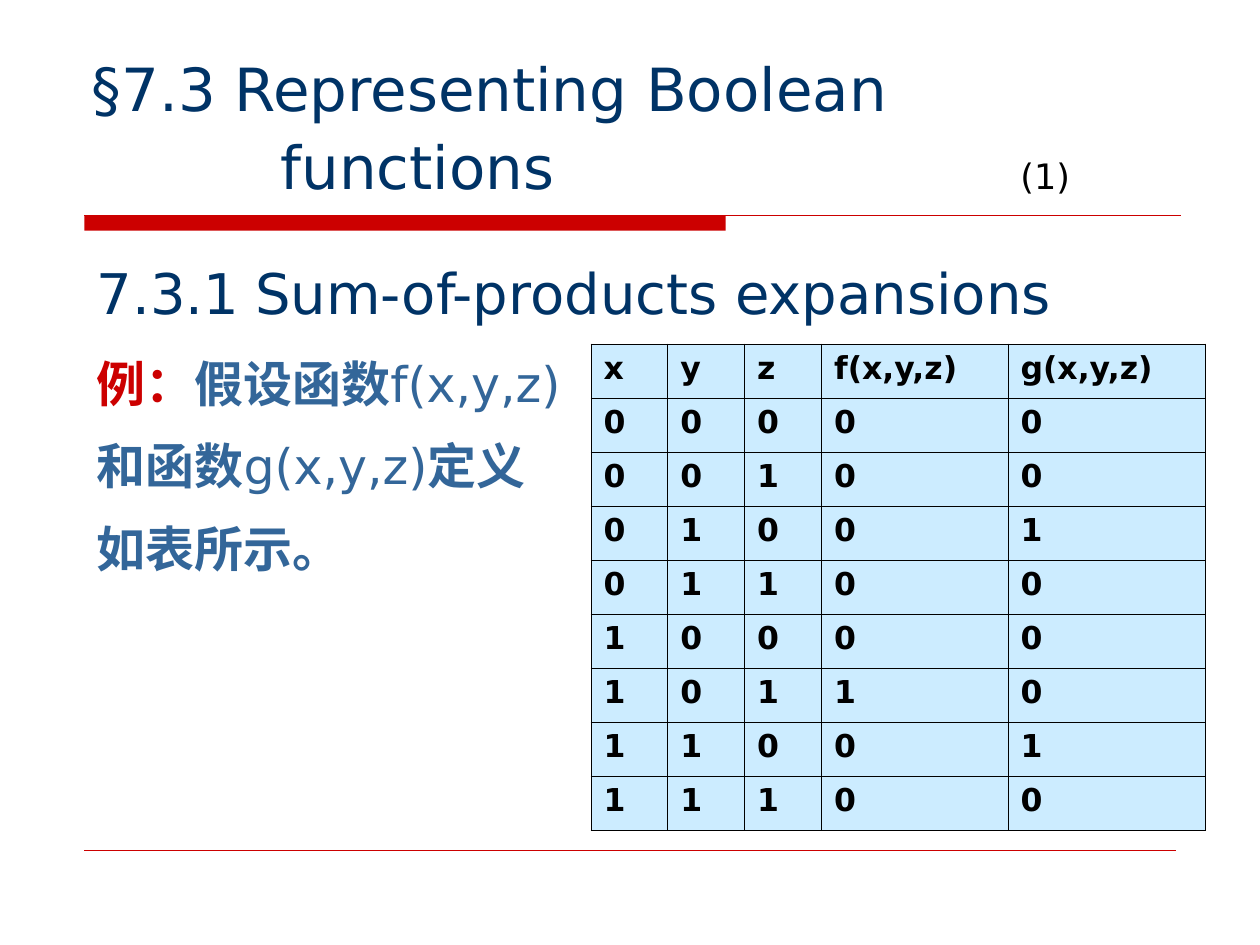
from itertools import product

from lxml.etree import SubElement
from pptx import Presentation
from pptx.dml.color import RGBColor
from pptx.enum.shapes import MSO_CONNECTOR as Connector, MSO_SHAPE as Shape
from pptx.enum.text import MSO_ANCHOR as Anchor, MSO_AUTO_SIZE as AutoSize
from pptx.oxml.ns import qn
from pptx.util import Inches, Pt

FONT = "DejaVu Sans"
RED, NAVY, BLUE, BLACK, PALE = "CC0000", "003366", "336699", "000000", "CCECFF"


def color(value):
    return RGBColor.from_string(value)


def add_run(paragraph, text, size, font_color, bold=False):
    run = paragraph.add_run()
    run.text = text
    for name, value in {"name": FONT, "size": Pt(size), "bold": bold}.items():
        setattr(run.font, name, value)
    run.font.color.rgb = color(font_color)


def add_text(slide, box, paragraphs, line_spacing=None, tabs=(), **frame_format):
    frame = slide.shapes.add_textbox(*map(Inches, box)).text_frame
    for name, value in {"word_wrap": True, **frame_format}.items():
        setattr(frame, name, value)
    for index, runs in enumerate(paragraphs):
        paragraph = frame.add_paragraph() if index else frame.paragraphs[0]
        paragraph.line_spacing = line_spacing
        if tabs:
            tab_list = SubElement(paragraph._p.get_or_add_pPr(), qn("a:tabLst"))
            for position in tabs:
                SubElement(tab_list, qn("a:tab"), pos=str(Inches(position)), algn="l")
        for run in runs:
            if run == "break":
                paragraph.add_line_break()
            else:
                add_run(paragraph, *run)


def add_bar(slide, box):
    bar = slide.shapes.add_shape(Shape.RECTANGLE, *map(Inches, box))
    bar.shadow.inherit = False
    bar.fill.solid()
    bar.fill.fore_color.rgb = color(RED)
    bar.line.fill.background()


def add_rule(slide, left, right, top, width):
    ends = map(Inches, (left, top, right, top))
    rule = slide.shapes.add_connector(Connector.STRAIGHT, *ends)
    rule.line.color.rgb = color(RED)
    rule.line.width = Pt(width)
    SubElement(rule._element.spPr, qn("a:effectLst"))


def format_cell(cell, text):
    properties = cell._tc.get_or_add_tcPr()
    for side in ("lnL", "lnR", "lnT", "lnB"):
        border = SubElement(properties, qn(f"a:{side}"), w=str(Pt(0.45)))
        fill = SubElement(border, qn("a:solidFill"))
        SubElement(fill, qn("a:srgbClr"), val=BLACK)
    cell.fill.solid()
    cell.fill.fore_color.rgb = color(PALE)
    add_run(cell.text_frame.paragraphs[0], text, 18, BLACK, True)


def add_truth_table(slide, box, widths):
    rows = [("x", "y", "z", "f(x,y,z)", "g(x,y,z)")]
    for x, y, z in product((0, 1), repeat=3):
        rows.append((x, y, z, x & (1 - y) & z, y & (1 - z)))
    frame = slide.shapes.add_table(len(rows), len(widths), *map(Inches, box))
    table = frame.table
    table.first_row = table.horz_banding = False
    for column, width in zip(table.columns, widths):
        column.width = Inches(width)
    for row, values in zip(table.rows, rows):
        for cell, value in zip(row.cells, values):
            format_cell(cell, str(value))


def main():
    presentation = Presentation()
    presentation.slide_width = Inches(10)
    presentation.slide_height = Inches(7.5)
    slide = presentation.slides.add_slide(presentation.slide_layouts[6])

    add_bar(slide, (0.67, 1.71, 5.09, 0.12))
    add_rule(slide, 0.67, 9.37, 1.71, 0.75)
    add_rule(slide, 0.67, 9.33, 6.75, 0.25)

    title = [
        ("§7.3 Representing Boolean", 34, NAVY),
        "break",
        ("\tfunctions", 34, NAVY),
        ("\t", 38, BLACK),
        ("(1)", 20, BLACK),
    ]
    add_text(slide, (0.63, 0.33, 8.7, 1.33), [title], tabs=(1.5, 7.37),
             vertical_anchor=Anchor.BOTTOM)

    heading = [
        ("7.3.1", 32, NAVY),
        (" ", 28, NAVY),
        ("Sum-of-products expansions", 32, NAVY),
    ]
    add_text(slide, (0.67, 2, 8.51, 0.57), [heading])

    example = [
        [("例：", 28, RED, True), ("假设函数", 28, BLUE, True), ("f(x,y,z)", 28, BLUE)],
        [("和函数", 28, BLUE, True), ("g(x,y,z)", 28, BLUE), ("定义", 28, BLUE, True)],
        [("如表所示。", 28, BLUE, True)],
    ]
    add_text(slide, (0.67, 2.57, 4.17, 2.06), example, line_spacing=1.4,
             vertical_anchor=Anchor.MIDDLE, auto_size=AutoSize.SHAPE_TO_FIT_TEXT)

    add_truth_table(slide, (4.69, 2.73, 4.88, 3.86), (0.61, 0.61, 0.61, 1.48, 1.57))
    presentation.save("out.pptx")


if __name__ == "__main__":
    main()
